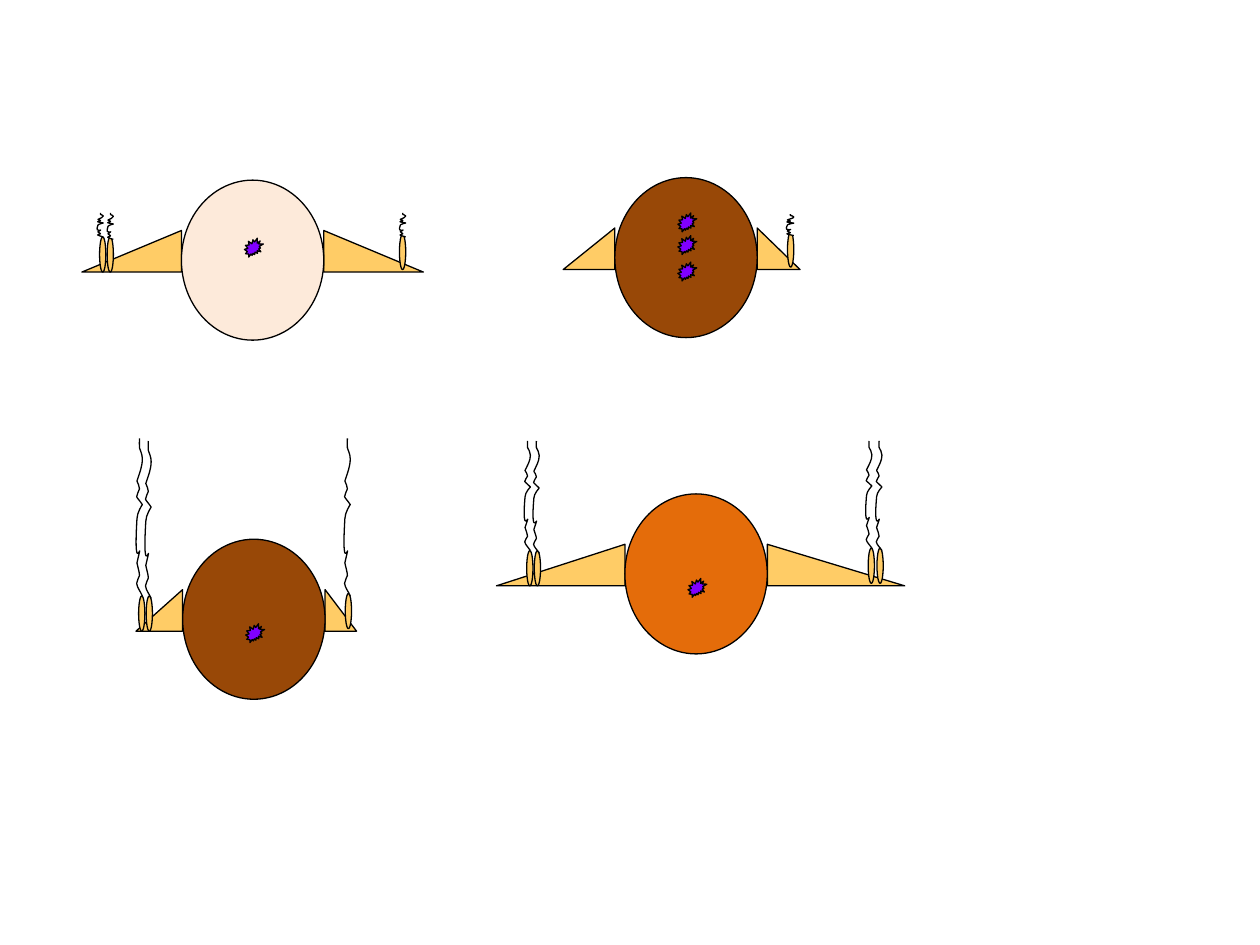
"""Draw four round creatures with wings, spots and wavy antennae on one slide."""
from collections import namedtuple

from lxml.etree import SubElement
from pptx import Presentation
from pptx.dml.color import RGBColor
from pptx.enum.shapes import MSO_SHAPE as Shape
from pptx.oxml.ns import qn
from pptx.util import Inches, Pt

Creature = namedtuple("Creature", "x y color left_wing right_wing behind spots front")
Antenna = namedtuple("Antenna", "base_x hair_x hair_top hair_bottom hair_width")

THEME = {"wing": "FFCC66", "spot": "8000FF", "hair": "FFFFFF", "line": "000000",
         "pale": "FDEADA", "brown": "984807", "orange": "E46C0A", "line_width": 0.75}

SLIDE_W, SLIDE_H = Inches(10), Inches(7.5)
COLUMNS = 1000
CELL = SLIDE_W // COLUMNS

BODY_W, BODY_H = 113, 127
WING_DROP, WING_H = 40, 33
SPOT_INSET, SPOT_SIZE = 50, 15
BASE_W, BASE_H = 5, 28

CREATURES = [
    Creature(144, 143, "pale", 79, 79, [
        (188, [Antenna(79, 77, 169, 188, 5), Antenna(85, 85, 169, 190, 5)]),
        (186, [Antenna(317, 317, 169, 188, 5)])], [46], []),
    Creature(145, 428, "brown", 37, 25, [
        (471, [Antenna(274, 273, 348, 473, 5)])], [67], [
        (473, [Antenna(110, 108, 348, 473, 5), Antenna(116, 115, 350, 475, 5)])]),
    Creature(488, 141, "brown", 41, 34, [], [46, 67, 28], [
        (184, [Antenna(625, 624, 170, 187, 6)])]),
    Creature(496, 392, "orange", 102, 109, [
        (437, [Antenna(418, 416, 350, 437, 5), Antenna(424, 423, 350, 439, 5)])], [67], [
        (435, [Antenna(689, 687, 350, 435, 5), Antenna(696, 695, 350, 437, 5)])]),
]

HAIR_START = (1, 1)
HAIR_CURVES = [
    ((0.7, 0.97), (0.2, 0.95), (0.1, 0.92)),
    ((0, 0.9), (0.55, 0.89), (0.55, 0.87)),
    ((0.55, 0.85), (0.3, 0.82), (0.15, 0.79)),
    ((1.4, 0.57), (-0.5, 0.94), (0.15, 0.51)),
    ((0.15, 0.47), (1, 0.42), (1, 0.42)),
    ((0.7, 0.4), (0.2, 0.38), (0.1, 0.37)),
    ((0, 0.35), (0.55, 0.34), (0.55, 0.32)),
    ((0.55, 0.3), (0.3, 0.29), (0.15, 0.27)),
    ((0.55, 0.22), (1, 0.18), (1, 0.13)),
    ((1, 0.1), (0.7, 0.08), (0.55, 0.06)),
    ((0.5, 0.04), (0.55, 0.02), (0.55, 0)),
]


def paint(s, color):
    s.shadow.inherit = False
    s.fill.solid()
    s.fill.fore_color.rgb = RGBColor.from_string(THEME[color])
    s.line.color.rgb = RGBColor.from_string(THEME["line"])
    s.line.width = Pt(THEME["line_width"])


def add_shape(shapes, kind, x, y, w, h, color):
    s = shapes.add_shape(kind, *(v * CELL for v in (x, y, w, h)))
    paint(s, color)
    return s


def add_hair(shapes, antenna):
    height = antenna.hair_bottom - antenna.hair_top

    def place(point):
        return (round((antenna.hair_x + point[0] * antenna.hair_width) * CELL),
                round((antenna.hair_top + point[1] * height) * CELL))

    builder = shapes.build_freeform(*place(HAIR_START))
    builder.add_line_segments([place(curve[-1]) for curve in HAIR_CURVES], close=False)
    s = builder.convert_to_shape()
    paint(s, "hair")
    outline = next(s.element.iter(qn("a:path")))
    for segment in outline.findall(qn("a:lnTo")):
        outline.remove(segment)
    for curve in HAIR_CURVES:
        bend = SubElement(outline, qn("a:cubicBezTo"))
        for x, y in map(place, curve):
            SubElement(bend, qn("a:pt"), x=str(x - s.left), y=str(y - s.top))


def add_antennae(shapes, groups):
    for base_top, antennae in groups:
        group = shapes.add_group_shape().shapes
        for antenna in antennae:
            add_shape(group, Shape.OVAL, antenna.base_x, base_top, BASE_W, BASE_H, "wing")
        for antenna in antennae:
            add_hair(group, antenna)


def add_creature(shapes, c):
    wing_y = c.y + WING_DROP
    add_shape(shapes, Shape.RIGHT_TRIANGLE, c.x + BODY_W, wing_y, c.right_wing, WING_H, "wing")
    left = add_shape(shapes, Shape.RIGHT_TRIANGLE, c.x - c.left_wing, wing_y,
                     c.left_wing, WING_H, "wing")
    left.element.spPr.xfrm.set("flipH", "1")
    add_shape(shapes, Shape.OVAL, c.x, c.y, BODY_W, BODY_H, c.color)
    add_antennae(shapes, c.behind)
    for drop in c.spots:
        add_shape(shapes, Shape.EXPLOSION2, c.x + SPOT_INSET, c.y + drop,
                  SPOT_SIZE, SPOT_SIZE, "spot")
    add_antennae(shapes, c.front)


def main():
    prs = Presentation()
    prs.slide_width, prs.slide_height = SLIDE_W, SLIDE_H
    slide = prs.slides.add_slide(prs.slide_layouts[6])
    for creature in CREATURES:
        add_creature(slide.shapes, creature)
    prs.save("out.pptx")


if __name__ == "__main__":
    main()
